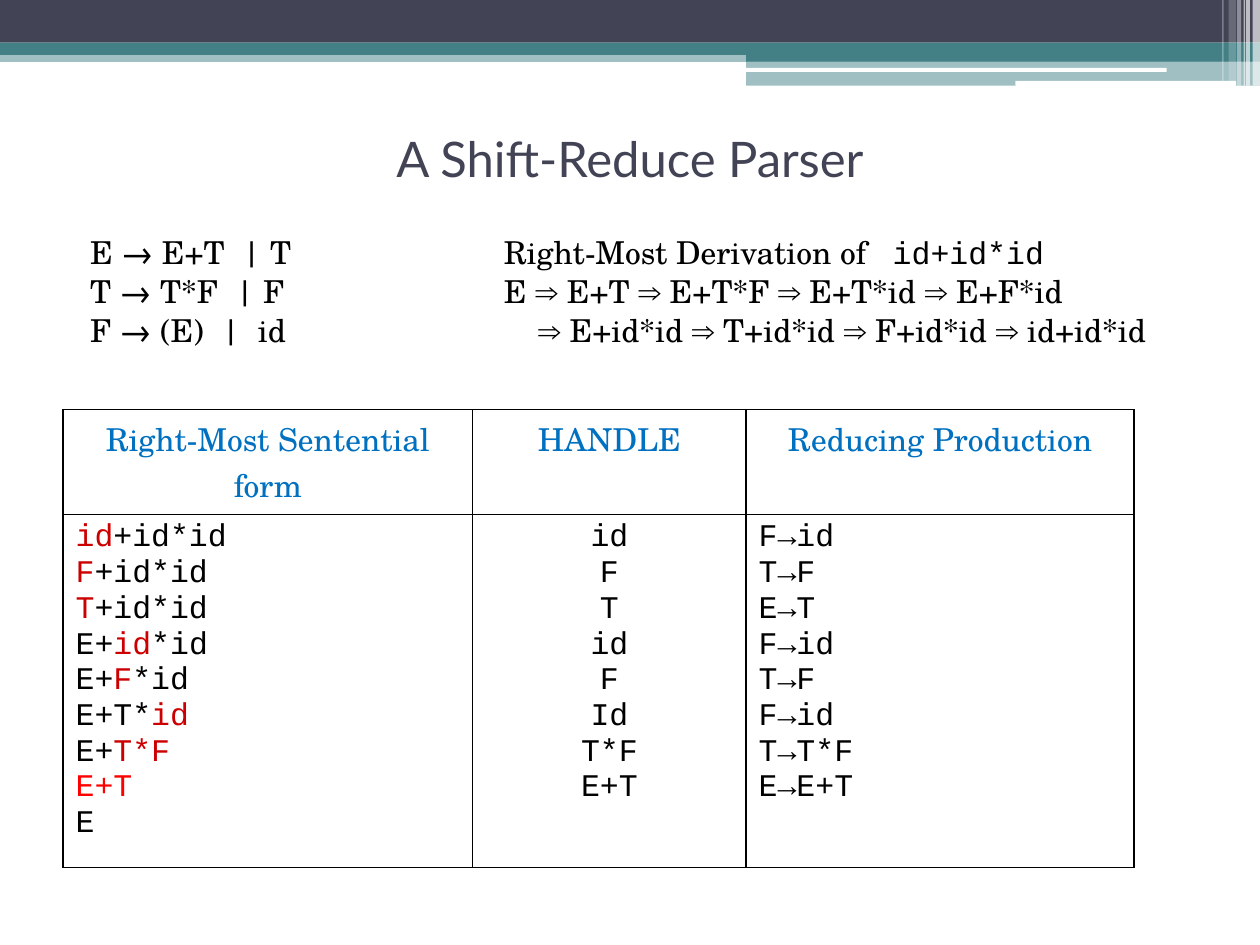
from pptx import Presentation, util as u
from pptx.dml.color import RGBColor
from pptx.enum import shapes, text
from pptx.oxml import parse_xml
from pptx.oxml.ns import nsdecls
from lxml import etree

Cm = lambda inches: u.Cm(round(inches * 2.54, 2))
COLORS = {"navy": "424456", "teal": "438086", "white": "FFFFFF", "black": "000000",
          "blue": "0070C0", "dark red": "CC0000", "red": "FF0000"}
SERIF, MONO, SANS = "TeX Gyre Schola", "Courier New", "Lato"


def color(name):
    return RGBColor.from_string(COLORS[name])


def add_spans(para, spans, font, size=18, **formats):
    """Fill a paragraph with (words, colour) spans and set its format values."""
    for name, value in formats.items():
        setattr(para, name, value)
    for words, tint, *other_font in spans:
        span = para.add_run()
        span.text = words
        span.font.name = other_font[0] if other_font else font
        span.font.size = u.Pt(size)
        span.font.color.rgb = color(tint)


deck = Presentation()
deck.slide_width, deck.slide_height = Cm(10), Cm(7.5)
page = deck.slides.add_slide(deck.slide_layouts[6])

# Header bands and stripes: left, top, width, height, colour, opacity, rounded
bands = [
    (0, 0.4, 10, 0.09, "teal", 50, False),
    (0, 0, 10, 0.34, "navy", 100, False),
    (0, 0.34, 10, 0.1, "teal", 100, False),
    (5.92, 0.39, 4.08, 0.1, "teal", 100, False),
    (5.92, 0.48, 4.08, 0.2, "teal", 50, False),
    (5.91, 0.54, 3.35, 0.03, "white", 100, True),
    (8.06, 0.64, 1.75, 0.04, "white", 100, True),
]
stripes = [(9.94, 0.06, 0.68, 65), (9.89, 0.03, 0.68, 65), (9.87, 0.01, 0.68, 60),
           (9.82, 0.03, 0.68, 40), (9.75, 0.06, 0.64, 20), (9.7, 0.01, 0.64, 30)]
bands += [(left, 0, width, height, "white", opacity, False)
          for left, width, height, opacity in stripes]
for left, top, width, height, tint, opacity, rounded in bands:
    kind = shapes.MSO_SHAPE.ROUNDED_RECTANGLE if rounded else shapes.MSO_SHAPE.RECTANGLE
    band = page.shapes.add_shape(kind, Cm(left), Cm(top), Cm(width), Cm(height))
    band.shadow.inherit = False
    band.line.fill.background()
    band.fill.solid()
    band.fill.fore_color.rgb = color(tint)
    if opacity < 100:
        tone = band.fill._xPr.solidFill[0]
        tone.append(parse_xml(f'<a:alpha {nsdecls("a")} val="{opacity * 1000}"/>'))

# Title
box = page.shapes.add_textbox(Cm(0.5), Cm(0.67), Cm(9), Cm(1.17))
box.text_frame.word_wrap = True
box.text_frame.vertical_anchor = text.MSO_ANCHOR.MIDDLE
add_spans(box.text_frame.paragraphs[0], [("A Shift-Reduce Parser", "navy")], SANS, 28,
          alignment=text.PP_ALIGN.CENTER)

# Grammar and derivation: left, width, lines, indent of the last line
columns = [
    (0.62, 3, ["E → E+T  | T", "T → T*F  | F", "F → (E)  |  id"], 0),
    (3.9, 5.6, ["Right-Most Derivation of   ",
                "E ⇒ E+T ⇒ E+T*F ⇒ E+T*id ⇒ E+F*id",
                "⇒ E+id*id ⇒ T+id*id ⇒ F+id*id ⇒ id+id*id"], 0.27),
]
for left, width, lines, indent in columns:
    box = page.shapes.add_textbox(Cm(left), Cm(1.83), Cm(width), Cm(1.1))
    box.text_frame.word_wrap = True
    for index, line in enumerate(lines):
        para = box.text_frame.paragraphs[0] if index == 0 else box.text_frame.add_paragraph()
        spans = [(line, "black")]
        if line.startswith("Right-Most"):
            spans.append(("id+id*id", "black", MONO))
        add_spans(para, spans, SERIF, line_spacing=0.9, space_before=u.Pt(3))
    para._p.get_or_add_pPr().set("marL", str(Cm(indent)))

# Table of reductions
headings = ["Right-Most Sentential form", "HANDLE", "Reducing Production"]
forms = [
    [("id", "dark red"), ("+id*id", "black")],
    [("F", "dark red"), ("+id*id", "black")],
    [("T", "dark red"), ("+id*id", "black")],
    [("E+", "black"), ("id", "dark red"), ("*id", "black")],
    [("E+", "black"), ("F", "dark red"), ("*id", "black")],
    [("E+T*", "black"), ("id", "dark red")],
    [("E+", "black"), ("T*F", "dark red")],
    [("E+T", "red")],
    [("E", "black")],
]
handles = ["id", "F", "T", "id", "F", "Id", "T*F", "E+T"]
productions = ["F→id", "T→F", "E→T", "F→id", "T→F", "F→id", "T→T*F", "E→E+T"]
bodies = [forms, [[(item, "black")] for item in handles],
          [[(item, "black")] for item in productions]]

frame = page.shapes.add_table(2, 3, Cm(0.5), Cm(3.25), Cm(8.5), Cm(3.49))
table = frame.table
for row, height in zip(table.rows, (0.83, 2.66)):
    row.height = Cm(height)
for column, width in enumerate((3.25, 2.17, 3.08)):
    table.columns[column].width = Cm(width)
    contents = [[[(headings[column], "blue")]], bodies[column]]
    for row, lines in enumerate(contents):
        cell = table.cell(row, column)
        centred = row == 0 or column == 1
        for index, spans in enumerate(lines):
            para = (cell.text_frame.paragraphs[0] if index == 0
                    else cell.text_frame.add_paragraph())
            add_spans(para, spans, MONO if row else SERIF,
                      alignment=text.PP_ALIGN.CENTER if centred else text.PP_ALIGN.LEFT)
        # Black borders come before the fill in the cell properties
        properties = cell._tc.get_or_add_tcPr()
        for side in ("lnL", "lnR", "lnT", "lnB"):
            properties.append(parse_xml(
                f'<a:{side} {nsdecls("a")} w="12700"><a:solidFill>'
                f'<a:srgbClr val="{COLORS["black"]}"/></a:solidFill></a:{side}>'))
        etree.SubElement(properties, parse_xml(f'<a:noFill {nsdecls("a")}/>').tag)

deck.save("out.pptx")
